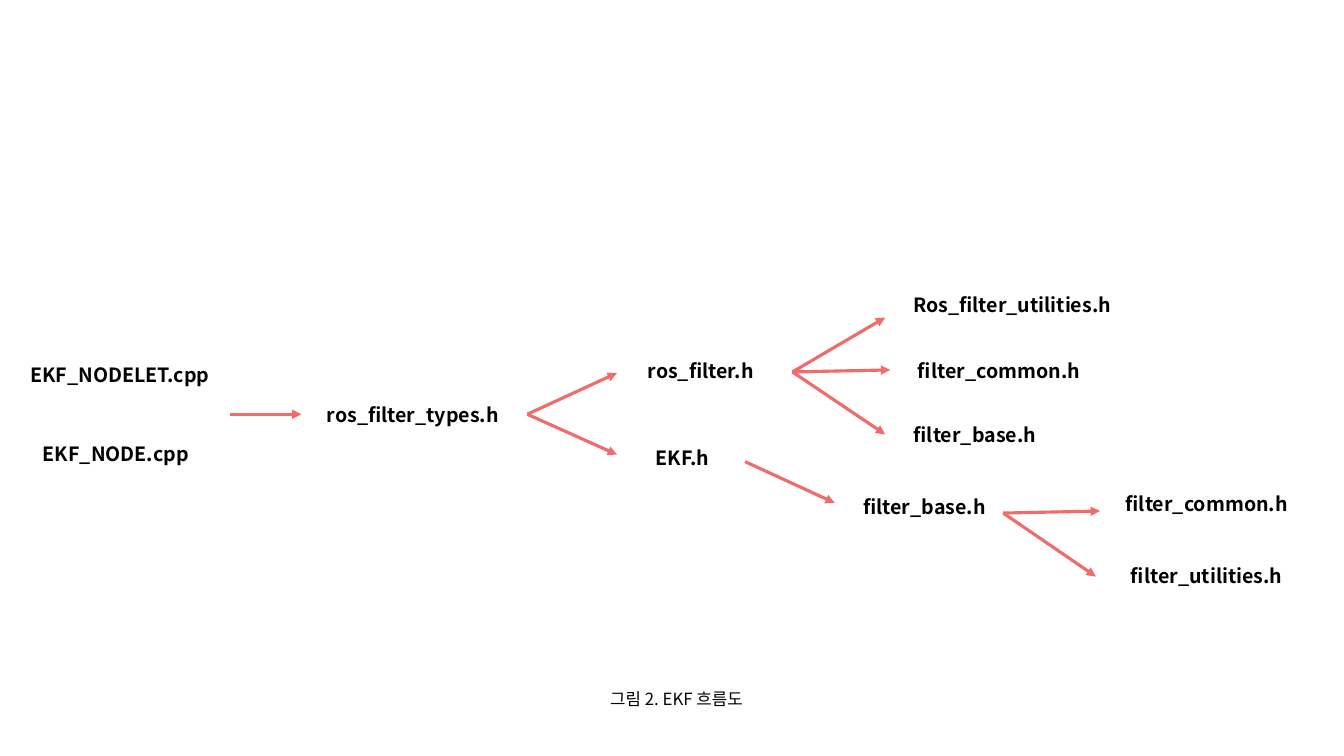
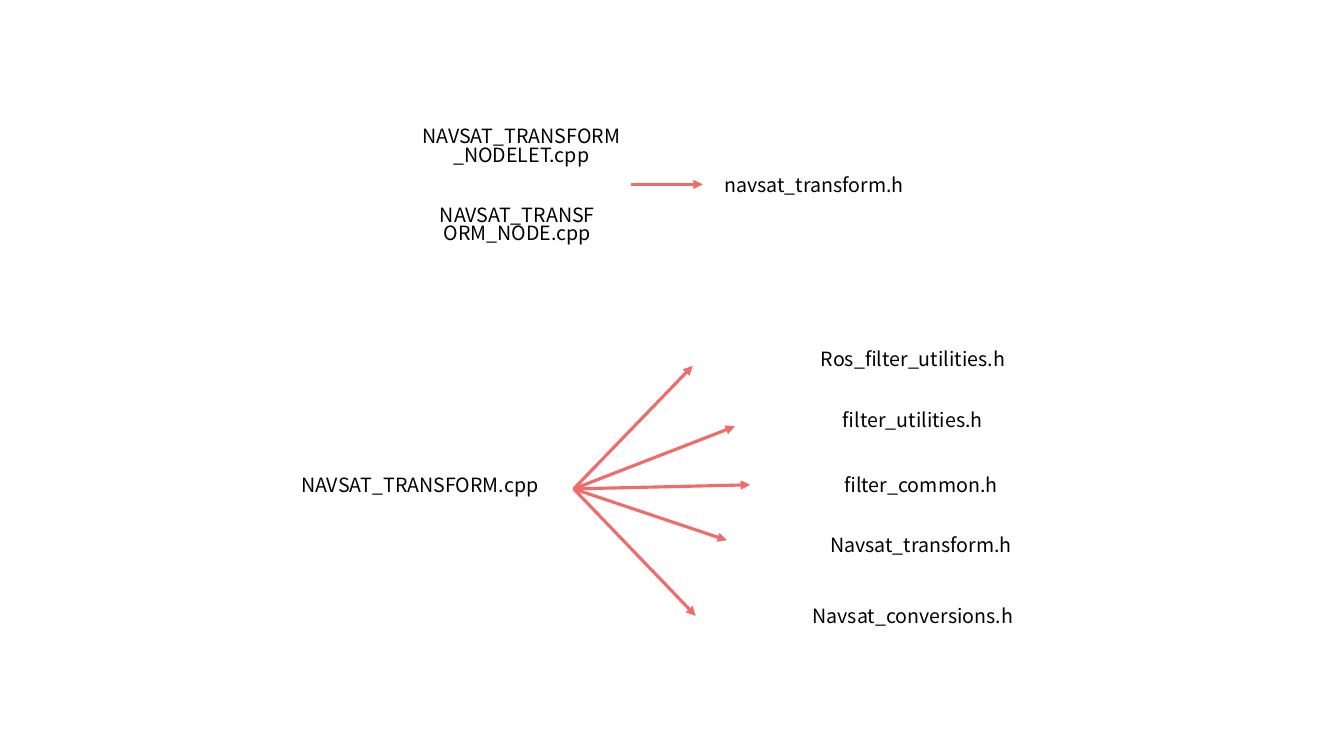
from pptx import Presentation
from pptx.dml.color import RGBColor
from pptx.enum.shapes import MSO_CONNECTOR as Conn
from pptx.enum.text import MSO_ANCHOR as Anchor, PP_ALIGN as Align
from pptx.oxml.ns import qn
from pptx.util import Inches, Pt
from lxml.etree import SubElement as Sub

FONT = "Noto Sans CJK KR"
BLACK = RGBColor(0x00, 0x00, 0x00)
CORAL = RGBColor(0xF1, 0x6B, 0x6B)
WHITE = RGBColor(0xFF, 0xFF, 0xFF)
ROW = 0.82
TALL = 1.01


def label(slide, text, x, y, w, h=ROW, bold=False, size=14):
    box = slide.shapes.add_textbox(Inches(x), Inches(y), Inches(w), Inches(h))
    frame = box.text_frame
    frame.word_wrap = True
    frame.vertical_anchor = Anchor.MIDDLE
    para = frame.paragraphs[0]
    para.alignment = Align.CENTER
    run = para.add_run()
    run.text = text
    font = run.font
    font.name, font.size, font.bold = FONT, Pt(size), bold
    font.color.rgb = BLACK
    Sub(font._element, qn("a:ea")).set("typeface", FONT)
    return para


def arrow(slide, x, y, dx, dy):
    line = slide.shapes.add_connector(
        Conn.STRAIGHT, Inches(x), Inches(y), Inches(x + dx), Inches(y + dy))
    line.line.color.rgb = CORAL
    line.line.width = Pt(2.25)
    Sub(line.line._get_or_add_ln(), qn("a:tailEnd")).set("type", "triangle")
    Sub(line._element.spPr, qn("a:effectLst"))


def entry(slide, x, y, upper, lower, header, bold=False):
    for para in (label(slide, upper, x, y, 2.24, bold=bold),
                 label(slide, lower, x + 0.19, y + 0.78, 1.78, bold=bold)):
        para.line_spacing = 0.8
    arrow(slide, x + 2.21, y + 0.78, 0.71, 0)
    label(slide, header, x + 2.9, y + 0.37, 2.25, bold=bold)


def fan(slide, x, y, leaves, h=ROW, bold=False):
    for text, tip, spot, w in leaves:
        arrow(slide, x, y, *tip)
        label(slide, text, x + spot[0], y + spot[1], w, h, bold)


def add_page(deck):
    slide = deck.slides.add_slide(deck.slide_layouts[6])
    fill = slide.background.fill
    fill.solid()
    fill.fore_color.rgb = WHITE
    return slide


def ekf_page(deck):
    slide = add_page(deck)
    entry(slide, 0.07, 3.33, "EKF_NODELET.cpp", "EKF_NODE.cpp",
          "ros_filter_types.h", bold=True)
    fans = [
        (5.23, 4.11, [
            ("ros_filter.h", (0.89, -0.41), (0.83, -0.84), 1.78),
            ("EKF.h", (0.89, 0.4), (0.83, 0.02), 1.42)]),
        (7.86, 3.69, [
            ("Ros_filter_utilities.h", (0.92, -0.54), (1.06, -1.08), 2.24),
            ("filter_common.h", (0.97, -0.02), (1.06, -0.42), 1.98),
            ("filter_base.h", (0.92, 0.62), (0.92, 0.21), 1.78)]),
        (7.39, 4.58, [
            ("filter_base.h", (0.89, 0.41), (0.89, 0.04), 1.78)]),
        (9.95, 5.09, [
            ("filter_common.h", (0.96, -0.02), (1.03, -0.5), 1.98),
            ("filter_utilities.h", (0.92, 0.63), (1.13, 0.21), 1.78)]),
    ]
    for x, y, leaves in fans:
        fan(slide, x, y, leaves, bold=True)
    label(slide, "그림 2. EKF 흐름도", 3.24, 6.68, 6.94, 0.5, size=12)


def navsat_page(deck):
    slide = add_page(deck)
    entry(slide, 4.05, 1.05, "NAVSAT_TRANSFORM_NODELET.cpp",
          "NAVSAT_TRANSFORM_NODE.cpp", "navsat_transform.h")
    label(slide, "NAVSAT_TRANSFORM.cpp", 2.4, 4.3, 3.53, TALL)
    fan(slide, 5.69, 4.85, [
        ("Ros_filter_utilities.h", (1.18, -1.22), (1.9, -1.8), 2.93),
        ("filter_utilities.h", (1.6, -0.62), (2.2, -1.19), 2.33),
        ("filter_common.h", (1.75, -0.04), (2.15, -0.55), 2.59),
        ("Navsat_transform.h", (1.52, 0.51), (1.65, 0.05), 3.59),
        ("Navsat_conversions.h", (1.21, 1.26), (1.57, 0.75), 3.59),
    ], h=TALL)


def main():
    deck = Presentation()
    deck.slide_width, deck.slide_height = Inches(13.33), Inches(7.5)
    ekf_page(deck)
    navsat_page(deck)
    deck.save("out.pptx")


if __name__ == "__main__":
    main()
